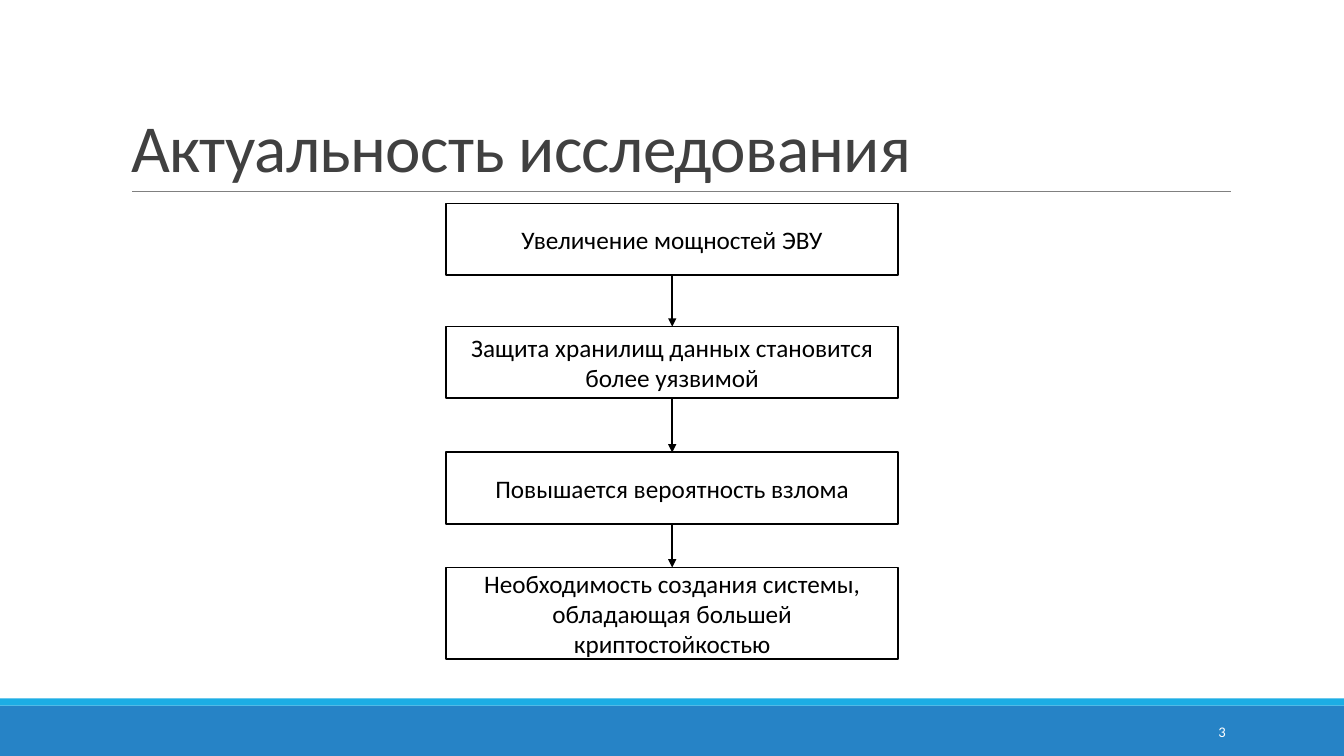
from lxml.etree import SubElement
from pptx import Presentation
from pptx.dml.color import RGBColor
from pptx.enum.shapes import MSO_CONNECTOR as Link, MSO_SHAPE as Preset
from pptx.enum.text import MSO_ANCHOR as Anchor, MSO_AUTO_SIZE as AutoSize, PP_ALIGN as Align
from pptx.oxml.ns import qn
from pptx.util import Cm, Pt

COLORS = {
    "paper": "FFFFFF",
    "ink": "000000",
    "heading": "404040",
    "rule": "808080",
    "band": "2683C6",
    "stripe": "1CADE4",
}
SLIDE_WIDTH, SLIDE_HEIGHT = 33.87, 19.05
STEP_LEFT, STEP_WIDTH = 11.25, 11.38
STEPS = [
    ("Увеличение мощностей ЭВУ", 5.13, 1.8),
    ("Защита хранилищ данных становится более уязвимой", 8.23, 1.8),
    ("Повышается вероятность взлома", 11.4, 1.8),
    ("Необходимость создания системы, обладающая большей криптостойкостью", 14.3, 2.31),
]


def color(name):
    return RGBColor.from_string(COLORS[name])


def apply(target, values):
    for attribute, value in values.items():
        setattr(target, attribute, value)


def write(holder, wording, size, ink, align, anchor):
    frame = holder.text_frame
    apply(frame, {"text": wording, "word_wrap": True,
                  "auto_size": AutoSize.NONE, "vertical_anchor": anchor})
    paragraph = frame.paragraphs[0]
    paragraph.alignment = align
    font = paragraph.runs[0].font
    apply(font, {"name": "Calibri", "size": Pt(size)})
    font.color.rgb = color(ink)
    return paragraph


def add_title(slide, wording):
    title = slide.shapes.title
    apply(title, {"left": Cm(3.05), "top": Cm(0.79), "width": Cm(27.94), "height": Cm(4.04)})
    paragraph = write(title, wording, 48, "heading", Align.LEFT, Anchor.BOTTOM)
    paragraph.line_spacing = 0.85
    paragraph.runs[0].font._element.set("spc", "-50")


def add_block(slide, left, top, width, height, fill):
    block = slide.shapes.add_shape(Preset.RECTANGLE, Cm(left), Cm(top), Cm(width), Cm(height))
    block.shadow.inherit = False
    block.fill.solid()
    block.fill.fore_color.rgb = color(fill)
    block.line.fill.background()
    return block


def add_step(slide, wording, top, height):
    step = add_block(slide, STEP_LEFT, top, STEP_WIDTH, height, "paper")
    step.line.color.rgb = color("ink")
    step.line.width = Pt(1.25)
    write(step, wording, 18, "ink", Align.CENTER, Anchor.MIDDLE)
    return step


def add_line(slide, start, end, ink, weight):
    line = slide.shapes.add_connector(Link.STRAIGHT, *map(Cm, start + end))
    line.line.color.rgb = color(ink)
    line.line.width = Pt(weight)
    SubElement(line._element.spPr, qn("a:effectLst"))
    return line


def add_arrow(slide, upper, lower):
    arrow = add_line(slide, (0, 0), (0, 0), "ink", 1.25)
    arrow.begin_connect(upper, 2)
    arrow.end_connect(lower, 0)
    SubElement(arrow.line._get_or_add_ln(), qn("a:tailEnd"), type="triangle")


def add_slide_number(slide, number):
    box = slide.shapes.add_textbox(Cm(27.51), Cm(17.93), Cm(3.63), Cm(1.02))
    write(box, number, 10.5, "paper", Align.RIGHT, Anchor.MIDDLE)


def main():
    deck = Presentation()
    apply(deck, {"slide_width": Cm(SLIDE_WIDTH), "slide_height": Cm(SLIDE_HEIGHT)})
    slide = deck.slides.add_slide(deck.slide_layouts[5])

    add_block(slide, 0, 17.78, SLIDE_WIDTH, 1.27, "band")
    add_block(slide, 0, 17.6, SLIDE_WIDTH, 0.18, "stripe")
    add_line(slide, (3.33, 4.83), (31.01, 4.83), "rule", 0.5)
    add_title(slide, "Актуальность исследования")
    add_slide_number(slide, "3")

    steps = [add_step(slide, *step) for step in STEPS]
    for upper, lower in zip(steps, steps[1:]):
        add_arrow(slide, upper, lower)

    deck.save("out.pptx")


main()
